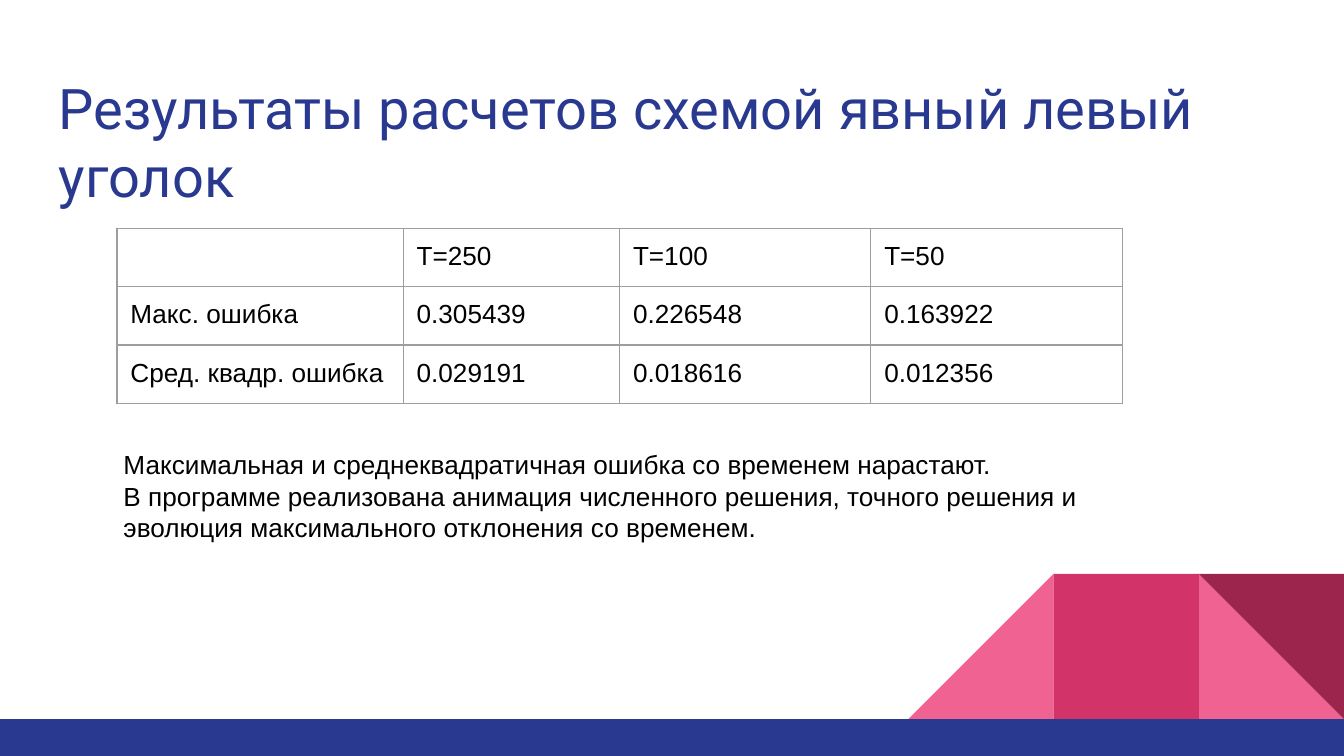
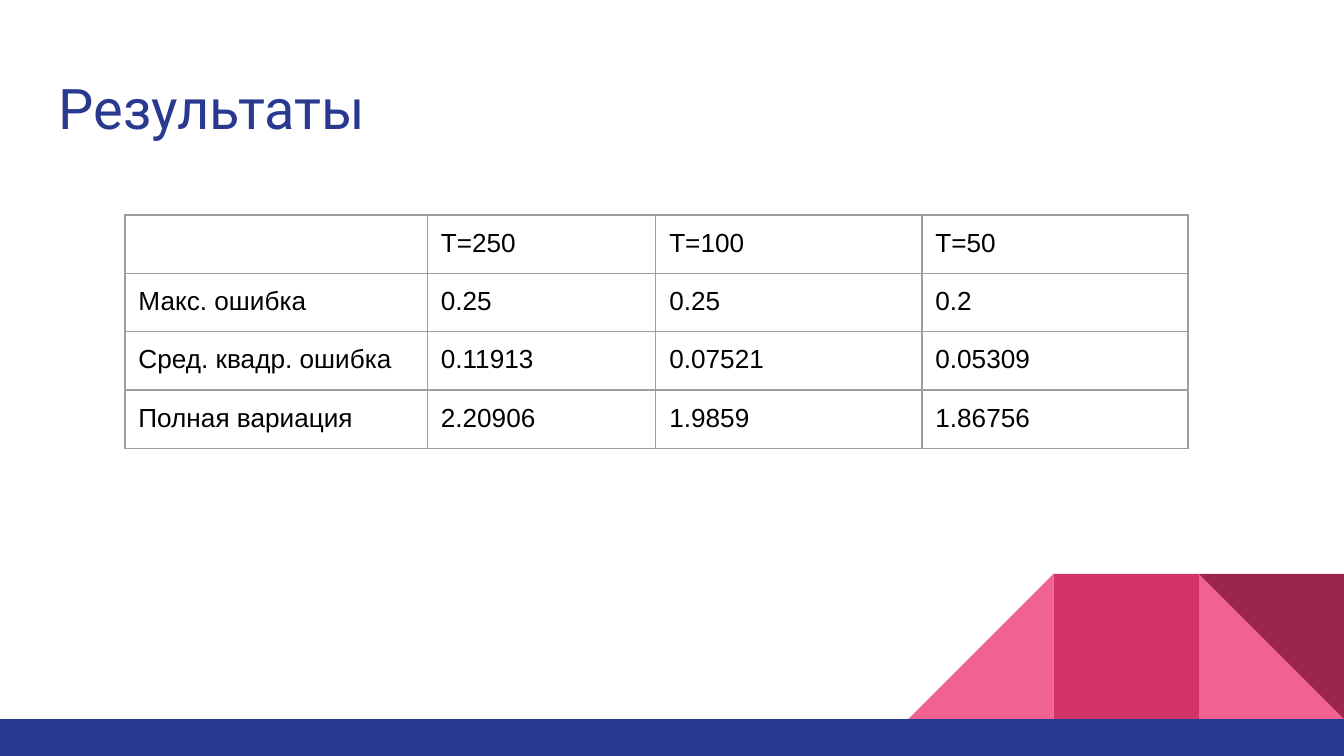
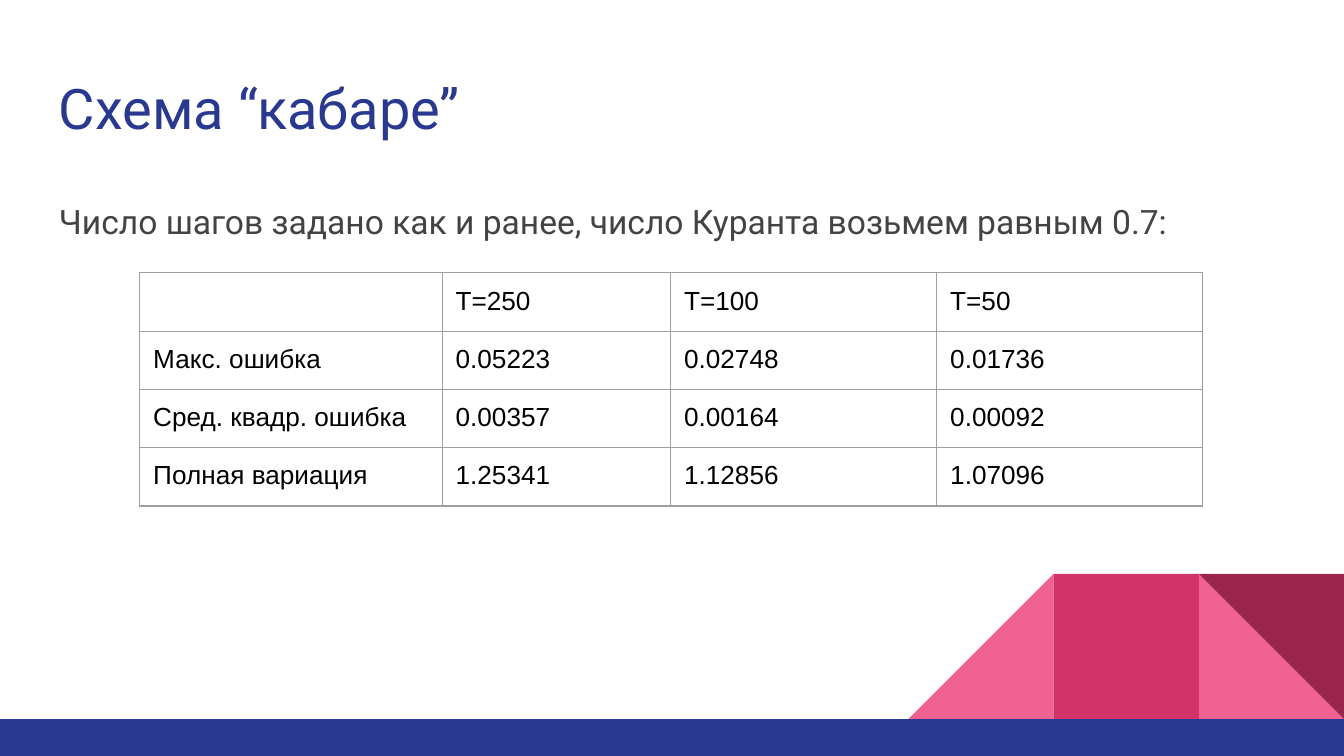
"""Build three slides with error tables for numerical transport schemes."""
import pptx
import pptx.dml.color
import pptx.enum.shapes
import pptx.oxml
import pptx.oxml.ns
import pptx.util
from pptx.util import Inches

WIDTH, HEIGHT = 10, 10 * 9 / 16
BLUE, PINK, CRIMSON, WINE = "2A3990", "F06292", "D23369", "9C254D"
TILE, BAND_TOP = 1.08, 5.35
TITLE = {"name": "Roboto", "size": 30, "color": BLUE}
BODY = {"name": "Roboto", "size": 18, "color": "434343"}
PLAIN = {"name": "Arial", "size": 14, "color": "000000"}
GRID, ROW_HEIGHT = "9E9E9E", 0.42
HEADER = ["", "T=250", "T=100", "T=50"]
NARROW, WIDE = [2.13, 1.61, 1.87, 1.87], [2.25, 1.7, 1.98, 1.98]
SHAPES = pptx.enum.shapes.MSO_SHAPE


def rgb(color):
    return pptx.dml.color.RGBColor.from_string(color)


class Deck:
    def __init__(self):
        self.presentation = pptx.Presentation()
        self.presentation.slide_width = Inches(WIDTH)
        self.presentation.slide_height = Inches(HEIGHT)
        self.slide = None

    def add_slide(self, title):
        self.slide = self.presentation.slides.add_slide(self.presentation.slide_layouts[6])
        middle, right = WIDTH - 2 * TILE, WIDTH - TILE
        top = BAND_TOP - TILE
        self.add_shape(SHAPES.RIGHT_TRIANGLE, right, top, TILE, TILE, PINK)
        slope = self.add_shape(SHAPES.RIGHT_TRIANGLE, middle - TILE, top, TILE, TILE, PINK)
        slope.element.spPr.find(pptx.oxml.ns.qn("a:xfrm")).set("flipH", "1")
        self.add_shape(SHAPES.RECTANGLE, middle, top, TILE, TILE, CRIMSON)
        corner = self.add_shape(SHAPES.RIGHT_TRIANGLE, right, top, TILE, TILE, WINE)
        corner.rotation = 180
        self.add_shape(SHAPES.RECTANGLE, 0, BAND_TOP, WIDTH, HEIGHT - BAND_TOP, BLUE)
        self.add_text([title], 0.34, 0.45, 9.32, 0.66, TITLE, inset=0.1)

    def add_shape(self, kind, left, top, width, height, color):
        shape = self.slide.shapes.add_shape(
            kind, Inches(left), Inches(top), Inches(width), Inches(height))
        shape.shadow.inherit = False
        shape.fill.solid()
        shape.fill.fore_color.rgb = rgb(color)
        shape.line.fill.background()
        return shape

    def add_run(self, paragraph, text, style):
        run = paragraph.add_run()
        run.text = text
        run.font.color.rgb = rgb(style["color"])
        values = {"name": style["name"], "size": pptx.util.Pt(style["size"])}
        for name, value in values.items():
            setattr(run.font, name, value)

    def add_text(self, lines, left, top, width, height, style, inset=0.05, spacing=None):
        shape = self.slide.shapes.add_textbox(
            Inches(left), Inches(top), Inches(width), Inches(height))
        frame = shape.text_frame
        values = {"word_wrap": True, "margin_left": Inches(0.1), "margin_right": Inches(0.1),
                  "margin_top": Inches(inset), "margin_bottom": Inches(inset)}
        for name, value in values.items():
            setattr(frame, name, value)
        for index, line in enumerate(lines):
            paragraph = frame.add_paragraph() if index else frame.paragraphs[0]
            paragraph.line_spacing = spacing
            self.add_run(paragraph, line, style)

    def add_table(self, left, top, widths, rows):
        rows = [HEADER] + rows
        table = self.slide.shapes.add_table(
            len(rows), len(widths), Inches(left), Inches(top),
            Inches(sum(widths)), Inches(ROW_HEIGHT * len(rows))).table
        table.first_row = table.horz_banding = False
        for column, width in zip(table.columns, widths):
            column.width = Inches(width)
        for row, texts in zip(table.rows, rows):
            row.height = Inches(ROW_HEIGHT)
            for cell, text in zip(row.cells, texts):
                self.format_cell(cell, text)

    def format_cell(self, cell, text):
        for side in ("left", "right", "top", "bottom"):
            setattr(cell, f"margin_{side}", Inches(0.1))
        paragraph = cell.text_frame.paragraphs[0]
        if text:
            self.add_run(paragraph, text, PLAIN)
        else:
            ending = paragraph._p.get_or_add_endParaRPr()
            ending.set("sz", str(PLAIN["size"] * 100))
        properties = cell._tc.get_or_add_tcPr()
        for edge in ("lnL", "lnR", "lnT", "lnB"):
            properties.append(pptx.oxml.parse_xml(
                f'<a:{edge} {pptx.oxml.ns.nsdecls("a")} w="{pptx.util.Pt(0.75)}"><a:solidFill>'
                f'<a:srgbClr val="{GRID}"/></a:solidFill></a:{edge}>'))
        cell.fill.background()


def main():
    deck = Deck()
    deck.add_slide("Результаты расчетов схемой явный левый уголок")
    deck.add_table(0.87, 1.7, NARROW, [
        ["Макс. ошибка", "0.305439", "0.226548", "0.163922"],
        ["Сред. квадр. ошибка", "0.029191", "0.018616", "0.012356"],
    ])
    deck.add_text([
        "Максимальная и среднеквадратичная ошибка со временем нарастают.",
        "В программе реализована анимация численного решения, точного решения и "
        "эволюция максимального отклонения со временем.",
    ], 0.82, 3.29, 8.11, 0.81, PLAIN)

    deck.add_slide("Результаты")
    deck.add_table(0.93, 1.6, WIDE, [
        ["Макс. ошибка", "0.25", "0.25", "0.2"],
        ["Сред. квадр. ошибка", "0.11913", "0.07521", "0.05309"],
        ["Полная вариация", "2.20906", "1.9859", "1.86756"],
    ])

    deck.add_slide("Схема “кабаре”")
    deck.add_text(["Число шагов задано как и ранее, число Куранта возьмем равным 0.7:"],
                  0.34, 1.35, 9.32, 3.65, BODY, inset=0.1, spacing=1.15)
    deck.add_table(1.04, 2.03, WIDE, [
        ["Макс. ошибка", "0.05223", "0.02748", "0.01736"],
        ["Сред. квадр. ошибка", "0.00357", "0.00164", "0.00092"],
        ["Полная вариация", "1.25341", "1.12856", "1.07096"],
    ])
    deck.presentation.save("out.pptx")


if __name__ == "__main__":
    main()
